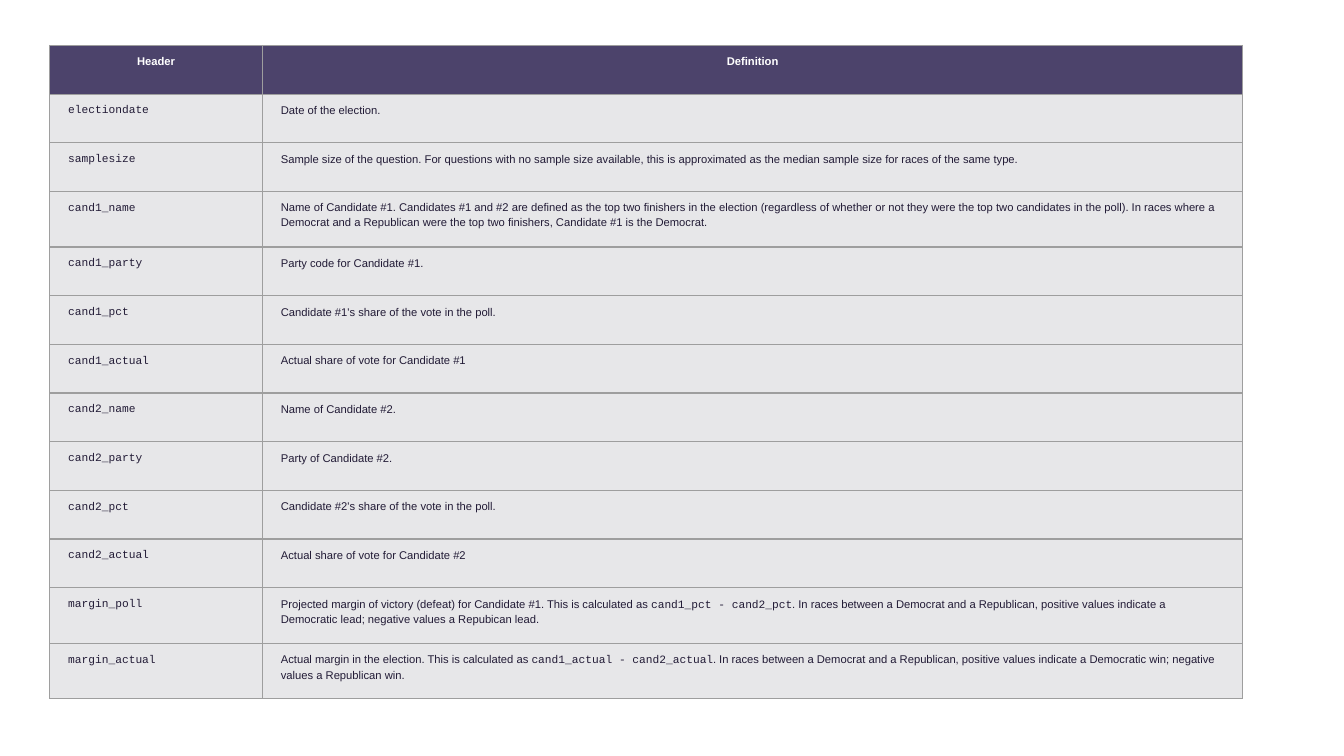
from lxml import etree
from pptx import Presentation
from pptx import util as u
from pptx.dml.color import RGBColor
from pptx.enum import text
from pptx.oxml import ns

PURPLE = RGBColor(0x4C, 0x43, 0x6B)
PALE = RGBColor(0xE7, 0xE7, 0xE9)
INK = RGBColor(0x22, 0x1B, 0x36)
WHITE = RGBColor(0xFF, 0xFF, 0xFF)
GREY = RGBColor(0x9E, 0x9E, 0x9E)

# Backticks mark code inside a definition
DEFINITIONS = [
    ("electiondate", "Date of the election."),
    ("samplesize", "Sample size of the question. For questions with no sample size available, "
     "this is approximated as the median sample size for races of the same type."),
    ("cand1_name", "Name of Candidate #1. Candidates #1 and #2 are defined as the top two "
     "finishers in the election (regardless of whether or not they were the top two candidates "
     "in the poll). In races where a Democrat and a Republican were the top two finishers, "
     "Candidate #1 is the Democrat."),
    ("cand1_party", "Party code for Candidate #1."),
    ("cand1_pct", "Candidate #1's share of the vote in the poll."),
    ("cand1_actual", "Actual share of vote for Candidate #1"),
    ("cand2_name", "Name of Candidate #2."),
    ("cand2_party", "Party of Candidate #2."),
    ("cand2_pct", "Candidate #2's share of the vote in the poll."),
    ("cand2_actual", "Actual share of vote for Candidate #2"),
    ("margin_poll", "Projected margin of victory (defeat) for Candidate #1. This is calculated as "
     "`cand1_pct - cand2_pct`. In races between a Democrat and a Republican, positive values "
     "indicate a Democratic lead; negative values a Repubican lead."),
    ("margin_actual", "Actual margin in the election. This is calculated as "
     "`cand1_actual - cand2_actual`. In races between a Democrat and a Republican, positive "
     "values indicate a Democratic win; negative values a Republican win."),
]
TWO_LINE_ROWS = {"cand1_name", "margin_poll", "margin_actual"}


class TablePage:
    body_font = "Arial"
    code_font = "Courier New"
    size = u.Pt(6)
    row_height = u.Cm(0.92)
    tall_row_height = u.Cm(1.05)
    column_widths = (u.Cm(4.02), u.Cm(18.53))

    def __init__(self, deck):
        self.page = deck.slides.add_slide(deck.slide_layouts[6])

    def border(self, cell):
        properties = cell._tc.get_or_add_tcPr()
        for side in ("lnL", "lnR", "lnT", "lnB"):
            line = etree.SubElement(properties, ns.qn("a:" + side), w=str(u.Pt(0.75)))
            fill = etree.SubElement(line, ns.qn("a:solidFill"))
            etree.SubElement(fill, ns.qn("a:srgbClr"), val=str(GREY))

    def cell(self, cell, content, font, header=False):
        self.border(cell)
        cell.fill.solid()
        cell.fill.fore_color.rgb = PURPLE if header else PALE
        cell.margin_left = cell.margin_right = u.Cm(0.35)
        cell.margin_top = cell.margin_bottom = u.Cm(0.16)
        para = cell.text_frame.paragraphs[0]
        para.line_spacing = 1.15
        para.alignment = text.PP_ALIGN.CENTER if header else text.PP_ALIGN.LEFT
        para.font.name = font
        para.font.size = self.size
        para.font.bold = header
        para.font.color.rgb = WHITE if header else INK
        for index, part in enumerate(content.split("`")):
            span = para.add_run()
            span.text = part
            if index % 2:
                span.font.name = self.code_font

    def table(self, left, top, headings, rows):
        heights = [self.row_height] + [
            self.tall_row_height if name in TWO_LINE_ROWS else self.row_height
            for name, _ in rows]
        table = self.page.shapes.add_table(
            len(heights), len(headings), left, top,
            sum(self.column_widths), sum(heights)).table
        for column, width in zip(table.columns, self.column_widths):
            column.width = width
        for row, height in zip(table.rows, heights):
            row.height = height
        for column, heading in enumerate(headings):
            self.cell(table.cell(0, column), heading, self.body_font, header=True)
        for row, (name, definition) in enumerate(rows, start=1):
            self.cell(table.cell(row, 0), name, self.code_font)
            self.cell(table.cell(row, 1), definition, self.body_font)


def main():
    deck = Presentation()
    deck.slide_width, deck.slide_height = u.Cm(25.4), u.Cm(14.29)

    # Data dictionary
    sheet = TablePage(deck)
    sheet.table(u.Cm(0.94), u.Cm(0.86), ("Header", "Definition"), DEFINITIONS)

    deck.save("out.pptx")


if __name__ == "__main__":
    main()
